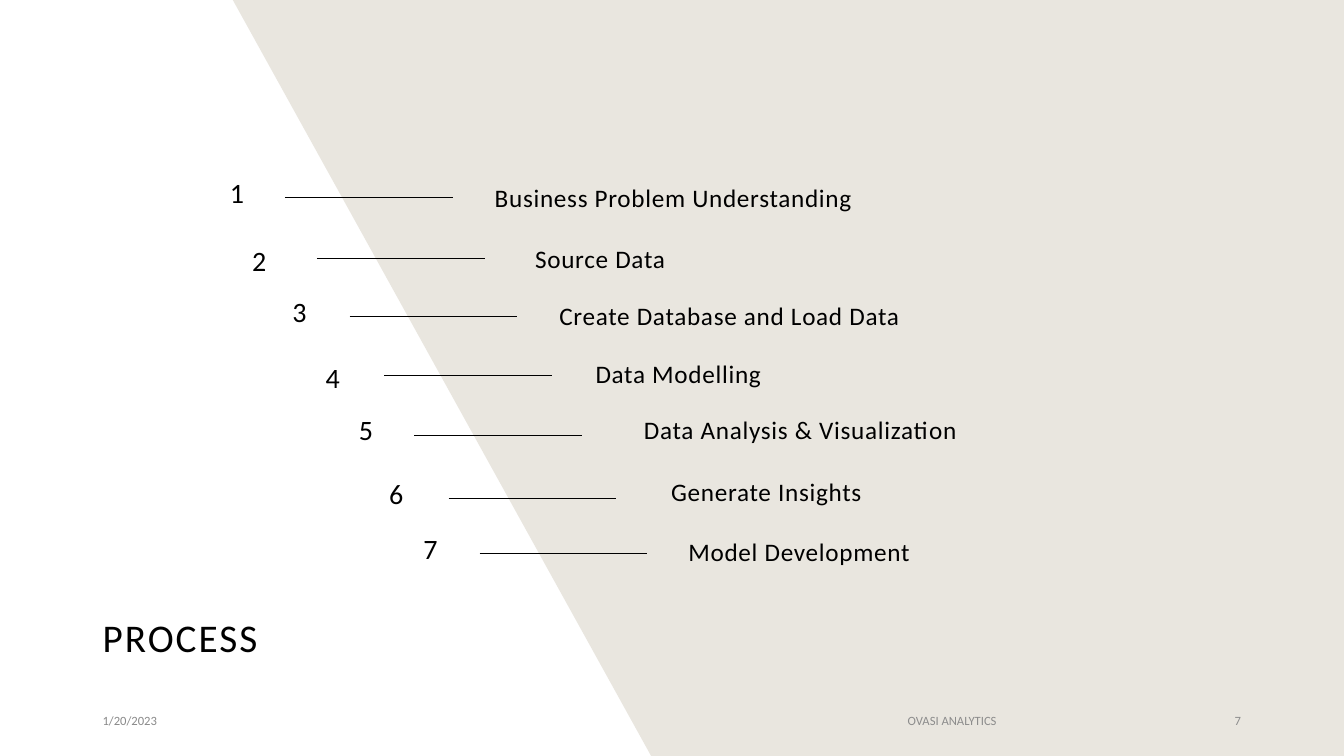
"""Build the seven-step process slide."""
from typing import NamedTuple

from pptx import Presentation
from pptx.dml.color import RGBColor
from pptx.enum.shapes import MSO_CONNECTOR as Connector
from pptx.enum.text import MSO_ANCHOR as Anchor, PP_ALIGN as Align
from pptx.oxml.xmlchemy import OxmlElement
from pptx.slide import Slide
from pptx.util import Pt

WIDTH, HEIGHT = 960, 540
FONT = "Calibri"
BLACK, BEIGE, GREY, LIGHT_GREY = "000000", "E9E6DF", "898989", "8C8C8C"
LINE_LENGTH = 119.8
NUMBER_SIZE = (168.5, 40.3)
LABEL_SIZE = (401.8, 37.4)


class Style(NamedTuple):
    size: float
    color: str = BLACK
    align: Align = Align.LEFT
    anchor: Anchor = Anchor.MIDDLE
    line_spacing: float = 1.0
    space_before: float = 0
    tracking: float = 0


class Step(NamedTuple):
    label: str
    number_at: tuple[float, float]
    line_at: tuple[float, float]
    label_at: tuple[float, float]


class Caption(NamedTuple):
    text: str
    at: tuple[float, float]
    size: tuple[float, float]
    style: Style


NUMBER = Style(20, align=Align.RIGHT, line_spacing=0.9, space_before=10)
LABEL = Style(18, anchor=Anchor.TOP, space_before=10, tracking=0.5)

STEPS = [
    Step("Business Problem Understanding", (13, 118.8), (203.5, 141.3), (346.3, 126.7)),
    Step("Source Data", (28.8, 167), (226.4, 184.4), (375.1, 169.9)),
    Step("Create Database and Load Data", (57.6, 203.8), (249.8, 226), (392.4, 211)),
    Step("Data Modelling", (81.4, 250.6), (274.4, 268.3), (418.3, 252.7)),
    Step("Data Analysis & Visualization", (105.1, 288), (295.8, 310.9), (452.9, 292.3)),
    Step("Generate Insights", (126.7, 333.4), (320.4, 355.7), (472.3, 337)),
    Step("Model Development", (151.2, 373), (342.7, 395.3), (484.6, 379.4)),
]

CAPTIONS = [
    Caption("PROCESS", (66.2, 434.2), (321.1, 46.1), Style(28, line_spacing=0.9, tracking=1.5)),
    Caption("1/20/2023", (66.2, 500.4), (216, 28.8), Style(9, GREY)),
    Caption("OVASI ANALYTICS", (531.4, 500.4), (297.4, 28.8), Style(9, LIGHT_GREY, Align.CENTER)),
    Caption("7", (851, 500.4), (42.5, 28.8), Style(9, LIGHT_GREY, Align.RIGHT)),
]


def rgb(color: str) -> RGBColor:
    return RGBColor.from_string(color)


def add_background(slide: Slide) -> None:
    builder = slide.shapes.build_freeform(Pt(465.1), Pt(HEIGHT), scale=1.0)
    corners = [(166.3, 0), (WIDTH, 0), (WIDTH, HEIGHT)]
    builder.add_line_segments([(Pt(x), Pt(y)) for x, y in corners], close=True)
    shape = builder.convert_to_shape()
    shape.shadow.inherit = False
    shape.fill.solid()
    shape.fill.fore_color.rgb = rgb(BEIGE)
    shape.line.fill.background()


def add_text(slide: Slide, text: str, at: tuple[float, float],
             size: tuple[float, float], style: Style) -> None:
    box = slide.shapes.add_textbox(*map(Pt, at + size))
    frame = box.text_frame
    frame.text = text
    frame.word_wrap = True
    frame.vertical_anchor = style.anchor
    paragraph = frame.paragraphs[0]
    paragraph.alignment = style.align
    paragraph.line_spacing = style.line_spacing
    paragraph.space_before = Pt(style.space_before)
    run = paragraph.runs[0]
    run.font.name = FONT
    run.font.size = Pt(style.size)
    run.font.color.rgb = rgb(style.color)
    if style.tracking:
        run.font._element.set("spc", str(int(style.tracking * 100)))


def add_rule(slide: Slide, at: tuple[float, float]) -> None:
    x, y = at
    connector = slide.shapes.add_connector(
        Connector.STRAIGHT, Pt(x), Pt(y), Pt(x + LINE_LENGTH), Pt(y))
    connector.line.color.rgb = rgb(BLACK)
    connector.line.width = Pt(0.5)
    connector._element.spPr.append(OxmlElement("a:effectLst"))


def add_step(slide: Slide, number: int, step: Step) -> None:
    add_rule(slide, step.line_at)
    add_text(slide, str(number), step.number_at, NUMBER_SIZE, NUMBER)
    add_text(slide, step.label, step.label_at, LABEL_SIZE, LABEL)


def main() -> None:
    presentation = Presentation()
    presentation.slide_width = Pt(WIDTH)
    presentation.slide_height = Pt(HEIGHT)
    slide = presentation.slides.add_slide(presentation.slide_layouts[6])
    add_background(slide)
    for number, step in enumerate(STEPS, start=1):
        add_step(slide, number, step)
    for caption in CAPTIONS:
        add_text(slide, *caption)
    presentation.save("out.pptx")


if __name__ == "__main__":
    main()
